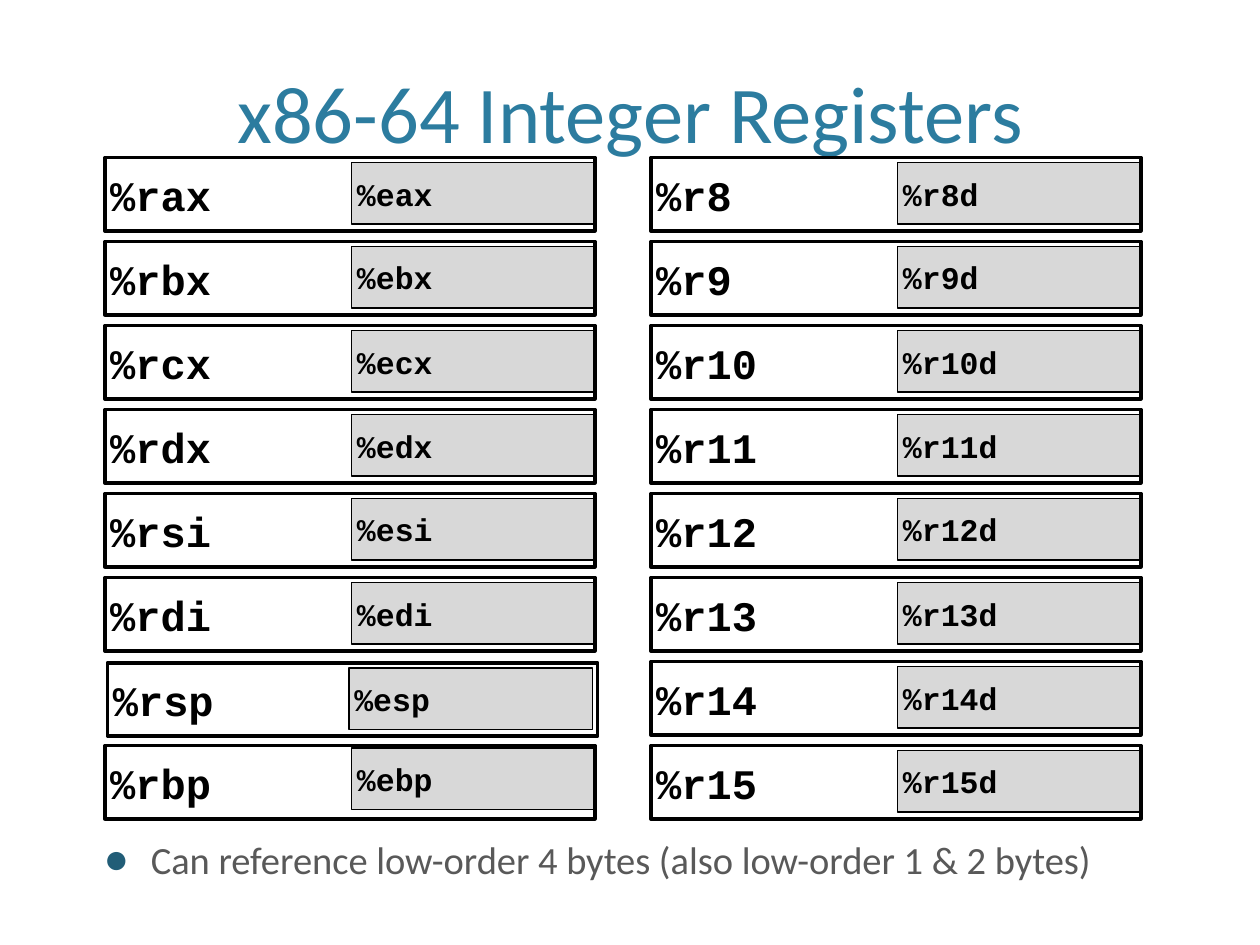
from dataclasses import dataclass

from lxml import etree
from pptx import Presentation
from pptx.dml.color import RGBColor
from pptx.enum.shapes import MSO_SHAPE
from pptx.enum.text import MSO_ANCHOR, MSO_AUTO_SIZE, PP_ALIGN
from pptx.oxml.ns import qn
from pptx.util import Pt

RECT = MSO_SHAPE.RECTANGLE
LEFT, CENTER = PP_ALIGN.LEFT, PP_ALIGN.CENTER
TOP, MIDDLE, BOTTOM = MSO_ANCHOR.TOP, MSO_ANCHOR.MIDDLE, MSO_ANCHOR.BOTTOM


@dataclass(frozen=True)
class Theme:
    title: str = "2C7C9F"
    body: str = "595959"
    bullet: str = "215D77"
    ink: str = "000000"
    grey: str = "D8D8D8"
    sans: str = "Calibri"
    mono: str = "Courier New"
    title_size: float = 46
    body_size: float = 22
    full_size: float = 24
    low_size: float = 18


@dataclass(frozen=True)
class Box:
    x: float
    y: float
    w: float
    h: float


@dataclass(frozen=True)
class Reg:
    """A 64-bit register, its low 32 bits, and small shifts of both boxes."""
    full: str
    low: str
    shift: tuple[float, float] = (0, 0)
    low_shift: tuple[float, float] = (0, 0)


THEME = Theme()
ROW = 48
COLUMNS = {
    60: [Reg(f"%r{n}", f"%e{n}") for n in ("ax", "bx", "cx", "dx", "si", "di")]
    + [Reg("%rsp", "%esp", (1.5, 0.75), (-1.5, 0.75)),
       Reg("%rbp", "%ebp", low_shift=(0, -1.5))],
    372: [Reg(f"%r{n}", f"%r{n}d") for n in range(8, 16)],
}


def place(shape, box: Box) -> None:
    shape.left, shape.top = Pt(box.x), Pt(box.y)
    shape.width, shape.height = Pt(box.w), Pt(box.h)


def write(shape, text: str, *, size: float, color: str, font: str,
          bold: bool = False, align=LEFT, anchor=TOP, inset=None):
    """Fill a shape with one formatted paragraph and return the paragraph."""
    frame = shape.text_frame
    frame.text = text
    frame.word_wrap = True
    frame.auto_size = MSO_AUTO_SIZE.NONE
    frame.vertical_anchor = anchor
    if inset is not None:
        frame.margin_left = frame.margin_right = Pt(inset)
        frame.margin_top = frame.margin_bottom = Pt(inset)
    para = frame.paragraphs[0]
    para.alignment = align
    face = para.runs[0].font
    face.name, face.size, face.bold = font, Pt(size), bold
    face.color.rgb = RGBColor.from_string(color)
    return para


def indent(para, left: float, first: float) -> None:
    props = para._p.get_or_add_pPr()
    props.set("marL", str(Pt(left)))
    props.set("indent", str(Pt(first)))


def bullet(para, char: str, color: str, scale: int) -> None:
    props = para._p.get_or_add_pPr()
    tint = etree.SubElement(props, qn("a:buClr"))
    etree.SubElement(tint, qn("a:srgbClr"), val=color)
    etree.SubElement(props, qn("a:buSzPct"), val=str(scale * 1000))
    etree.SubElement(props, qn("a:buChar"), char=char)


def draw_box(slide, box: Box, text: str, size: float, line: float,
             fill: str | None = None) -> None:
    shape = slide.shapes.add_shape(RECT, 0, 0, 0, 0)
    place(shape, box)
    shape.shadow.inherit = False
    if fill:
        shape.fill.solid()
        shape.fill.fore_color.rgb = RGBColor.from_string(fill)
    else:
        shape.fill.background()
    shape.line.color.rgb = RGBColor.from_string(THEME.ink)
    shape.line.width = Pt(line)
    write(shape, text, size=size, color=THEME.ink, font=THEME.mono,
          bold=True, anchor=MIDDLE, inset=3)


def draw_reg(slide, reg: Reg, x: float, y: float) -> None:
    (dx, dy), (lx, ly) = reg.shift, reg.low_shift
    draw_box(slide, Box(x + 141 + lx, y + 3 + ly, 139, 35), reg.low,
             THEME.low_size, 0.75, THEME.grey)
    draw_box(slide, Box(x + dx, y + dy, 280, 42), reg.full,
             THEME.full_size, 2)


def main() -> None:
    deck = Presentation()
    deck.slide_width, deck.slide_height = Pt(720), Pt(540)
    slide = deck.slides.add_slide(deck.slide_layouts[1])

    # Title
    title = slide.shapes.title
    place(title, Box(43, 9, 634, 84))
    head = write(title, "x86-64 Integer Registers", size=THEME.title_size,
                 color=THEME.title, font=THEME.sans, align=CENTER,
                 anchor=BOTTOM)
    title.text_frame.margin_bottom = Pt(1.5)
    indent(head, 9, -9)

    # Note below the registers
    body = slide.placeholders[1]
    place(body, Box(25, 474, 695, 42))
    note = write(body,
                 "Can reference low-order 4 bytes (also low-order 1 & 2 bytes)",
                 size=THEME.body_size, color=THEME.body, font=THEME.sans)
    note.level = 1
    note.space_before = Pt(6)
    indent(note, 54, -27)
    bullet(note, "●", THEME.bullet, 110)

    # Two columns of registers
    for x, regs in COLUMNS.items():
        for row, reg in enumerate(regs):
            draw_reg(slide, reg, x, 90 + row * ROW)

    deck.save("out.pptx")


if __name__ == "__main__":
    main()
